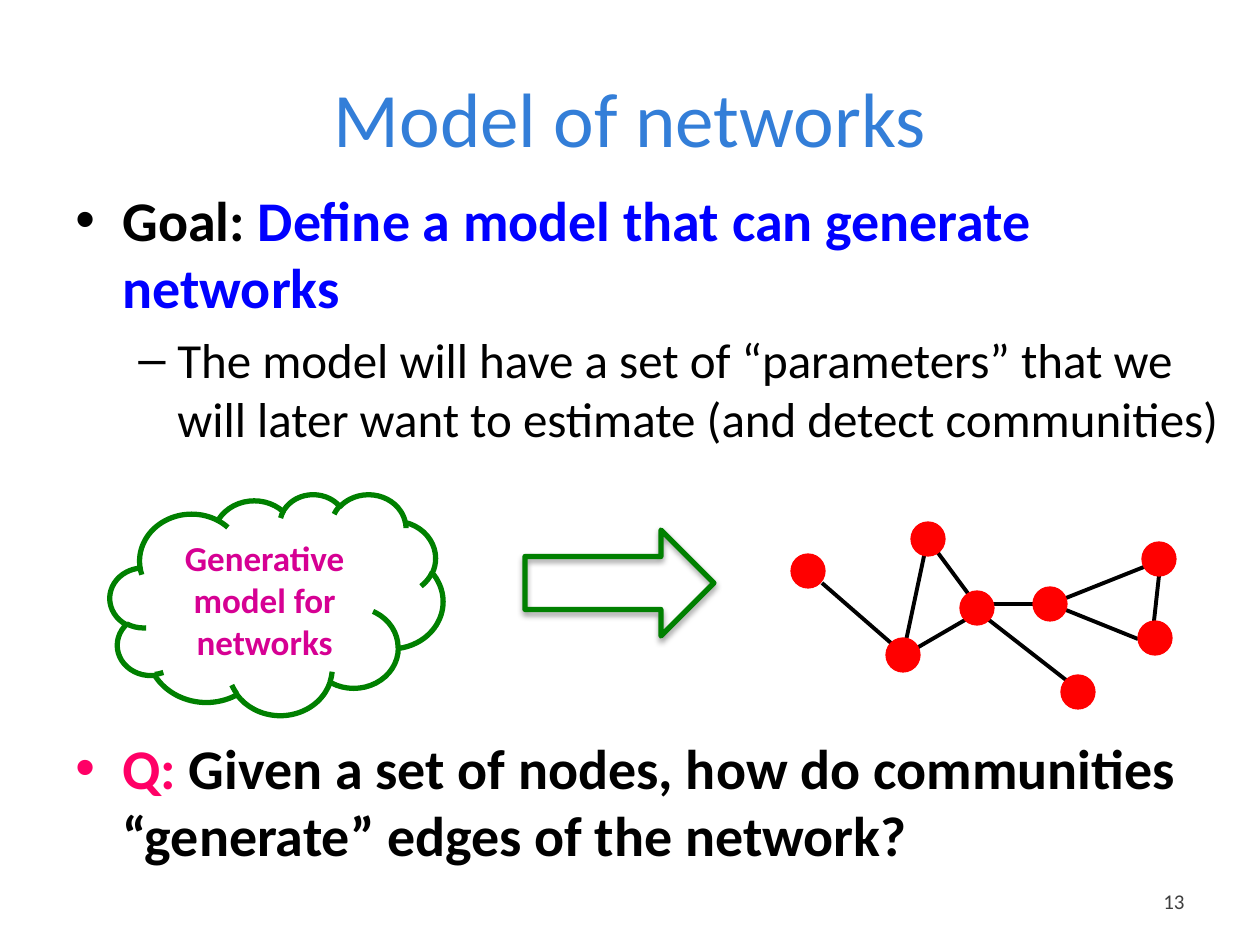
from typing import NamedTuple

from lxml import etree
from pptx import Presentation
from pptx.dml.color import RGBColor
from pptx.enum.shapes import MSO_CONNECTOR, MSO_SHAPE
from pptx.enum.text import MSO_ANCHOR, PP_ALIGN
from pptx.oxml.ns import qn
from pptx.util import Pt

PX = 914400 / 126
STRAIGHT = MSO_CONNECTOR.STRAIGHT
ELLIPSE, CLOUD, RIGHT_ARROW = MSO_SHAPE.OVAL, MSO_SHAPE.CLOUD, MSO_SHAPE.RIGHT_ARROW
TOP, MIDDLE = MSO_ANCHOR.TOP, MSO_ANCHOR.MIDDLE
LEFT, CENTER, RIGHT = PP_ALIGN.LEFT, PP_ALIGN.CENTER, PP_ALIGN.RIGHT
FONT = "Calibri"
BLACK, GREEN, RED = "000000", "008000", "FF0000"
NODE_SIZE = 34


class Run(NamedTuple):
    text: str
    size: int
    color: str
    bold: bool = False


class Bullet(NamedTuple):
    char: str
    color: str
    margin: int
    hanging: int
    level: int = 0
    space_before: float = 0


class Node(NamedTuple):
    left: int
    top: int


class Edge(NamedTuple):
    x1: int
    y1: int
    x2: int
    y2: int


NODES = [
    Node(886, 638), Node(791, 554), Node(911, 522), Node(960, 591),
    Node(1033, 587), Node(1061, 675), Node(1142, 542), Node(1138, 621),
]
EDGES = [
    Edge(1154, 621, 1159, 576), Edge(822, 583, 891, 643), Edge(903, 655, 927, 542),
    Edge(1051, 604, 1159, 561), Edge(1051, 604, 1138, 639), Edge(983, 604, 1033, 604),
    Edge(989, 620, 1066, 680), Edge(978, 607, 927, 538), Edge(903, 656, 965, 620),
]


def emu(*lengths: int) -> list[int]:
    return [round(length * PX) for length in lengths]


def rgb(color: str) -> RGBColor:
    return RGBColor.from_string(color)


def add_runs(paragraph, runs: list[Run], align=LEFT) -> None:
    paragraph.alignment = align
    for part in runs:
        run = paragraph.add_run()
        run.text = part.text
        run.font.name = FONT
        run.font.size = Pt(part.size)
        run.font.bold = part.bold
        run.font.color.rgb = rgb(part.color)


def set_bullet(paragraph, bullet: Bullet) -> None:
    paragraph.level = bullet.level
    properties = paragraph._p.get_or_add_pPr()
    margin, hanging = emu(bullet.margin, bullet.hanging)
    properties.set("marL", str(margin))
    properties.set("indent", str(-hanging))
    color = etree.SubElement(properties, qn("a:buClr"))
    etree.SubElement(color, qn("a:srgbClr"), val=bullet.color)
    etree.SubElement(properties, qn("a:buFont"), typeface="Arial")
    etree.SubElement(properties, qn("a:buChar"), char=bullet.char)
    if bullet.space_before:
        paragraph.space_before = Pt(bullet.space_before)


def add_text(shapes, left: int, top: int, width: int, height: int, anchor=TOP):
    frame = shapes.add_textbox(*emu(left, top, width, height)).text_frame
    frame.word_wrap = True
    frame.vertical_anchor = anchor
    return frame


def add_figure(shapes, kind, left: int, top: int, width: int, height: int,
               line: str, weight: float, fill: str | None = None):
    shape = shapes.add_shape(kind, *emu(left, top, width, height))
    shape.shadow.inherit = False
    if fill:
        shape.fill.solid()
        shape.fill.fore_color.rgb = rgb(fill)
    else:
        shape.fill.background()
    shape.line.color.rgb = rgb(line)
    shape.line.width = Pt(weight)
    return shape


def add_soft_shadow(shape) -> None:
    effects = shape._element.spPr.find(qn("a:effectLst"))
    shadow = etree.SubElement(effects, qn("a:outerShdw"), blurRad=str(Pt(3.5)),
                              dist=str(Pt(2)), dir="5400000", rotWithShape="0")
    color = etree.SubElement(shadow, qn("a:srgbClr"), val=BLACK)
    etree.SubElement(color, qn("a:alpha"), val="38000")


def add_edge(shapes, edge: Edge) -> None:
    connector = shapes.add_connector(STRAIGHT, *emu(*edge))
    connector.line.color.rgb = rgb(BLACK)
    connector.line.width = Pt(2.25)
    etree.SubElement(connector._element.spPr, qn("a:effectLst"))


def main() -> None:
    presentation = Presentation()
    presentation.slide_width, presentation.slide_height = emu(1260, 945)
    slide = presentation.slides.add_slide(presentation.slide_layouts[6])
    shapes = slide.shapes

    # Title
    title = add_text(shapes, 63, 38, 1134, 158, MIDDLE)
    add_runs(title.paragraphs[0], [Run("Model of networks", 44, "337ED8")], CENTER)

    # Goal and its detail
    goal = add_text(shapes, 63, 179, 1187, 280)
    set_bullet(goal.paragraphs[0], Bullet("•", BLACK, 47, 47))
    add_runs(goal.paragraphs[0], [
        Run("Goal: ", 32, BLACK, True),
        Run("Define a model that can generate networks", 32, "0000FF", True),
    ])
    detail = goal.add_paragraph()
    set_bullet(detail, Bullet("–", BLACK, 102, 39, 1, 5.6))
    add_runs(detail, [Run("The model will have a set of “parameters” that we will later "
                          "want to estimate (and detect communities)", 28, BLACK)])

    # Question
    question = add_text(shapes, 63, 727, 1187, 150).paragraphs[0]
    set_bullet(question, Bullet("•", "FF0066", 47, 47))
    add_runs(question, [
        Run("Q: ", 32, "FF0066", True),
        Run("Given a set of nodes, how do communities “generate” edges of the network?",
            32, BLACK, True),
    ])

    # Slide number
    number = add_text(shapes, 903, 876, 294, 50, MIDDLE)
    add_runs(number.paragraphs[0], [Run("13", 12, "3F3F3F")], RIGHT)

    # Arrow from the model to the network
    arrow = add_figure(shapes, RIGHT_ARROW, 525, 530, 189, 106, GREEN, 3)
    add_soft_shadow(arrow)

    # Network: edges behind nodes
    network = shapes.add_group_shape().shapes
    for edge in EDGES:
        add_edge(network, edge)
    for node in NODES:
        add_figure(network, ELLIPSE, *node, NODE_SIZE, NODE_SIZE, RED, 0.75, RED)

    # Generative model
    cloud = add_figure(shapes, CLOUD, 110, 494, 333, 221, GREEN, 3).text_frame
    cloud.word_wrap = True
    cloud.vertical_anchor = MIDDLE
    add_runs(cloud.paragraphs[0],
             [Run("Generative model for networks", 20, "D60093", True)], CENTER)

    presentation.save("out.pptx")


if __name__ == "__main__":
    main()
